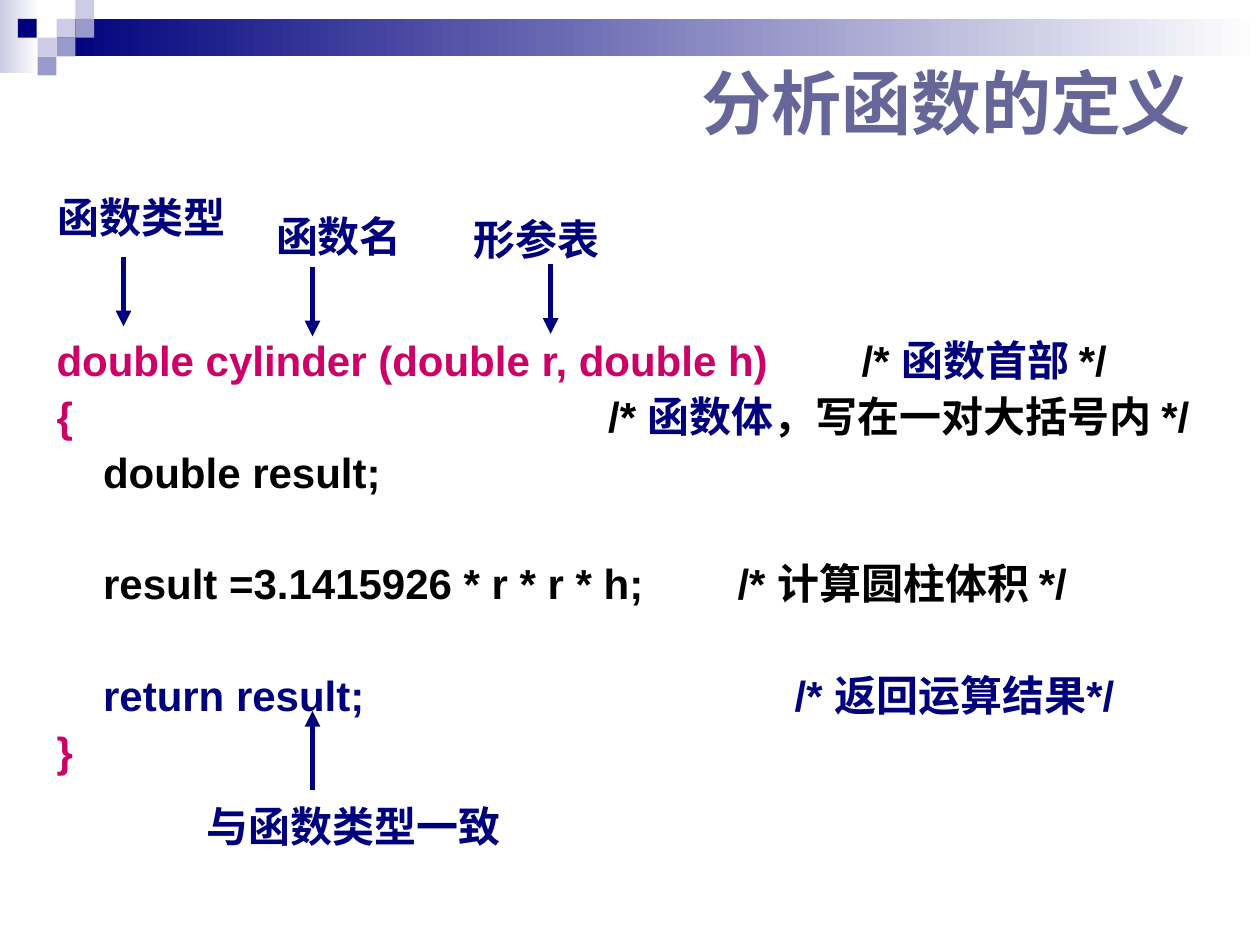
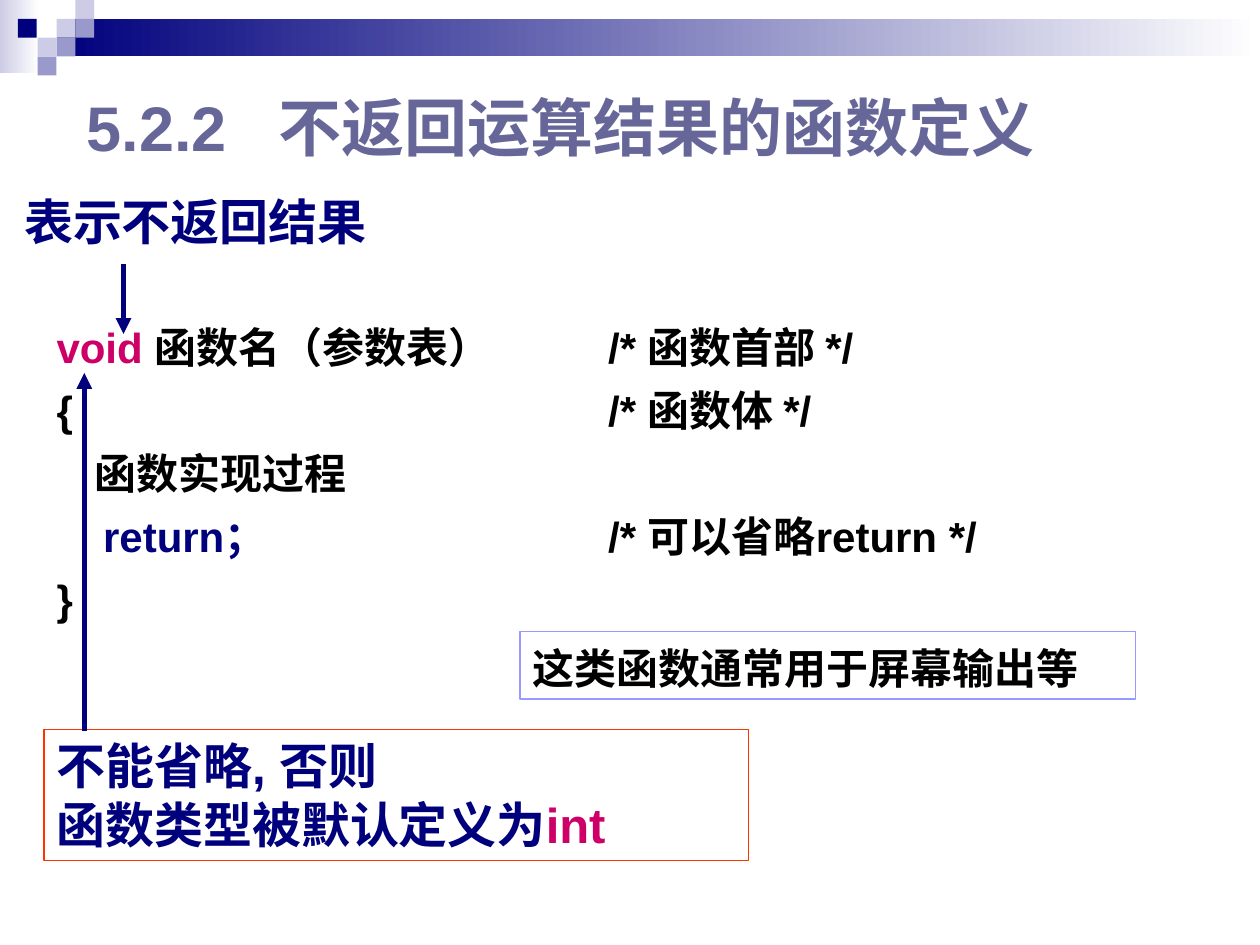
from lxml.etree import SubElement
from pptx import Presentation
from pptx.dml.color import RGBColor
from pptx.enum.shapes import MSO_CONNECTOR, MSO_SHAPE
from pptx.enum.text import MSO_ANCHOR, PP_ALIGN
from pptx.oxml.ns import qn
from pptx.util import Cm, Pt

HUES = {
    "navy": "00007D", "pale": "CCCCE6", "mid": "9999CC", "white": "FFFFFF",
    "title": "666699", "pink": "CC0066", "black": "000000",
    "blue": "9999FF", "red": "FF3300",
}
HUES = {name: RGBColor.from_string(code) for name, code in HUES.items()}


def write(shape, lines, size, hue, align=PP_ALIGN.LEFT, wrap=True,
          anchor=MSO_ANCHOR.TOP, pitch=None):
    """Each line is (tab stop in cm, space before in pt, runs of (text, hue))."""
    frame = shape.text_frame
    frame.word_wrap = wrap
    frame.vertical_anchor = anchor
    for i, (stop, gap, runs) in enumerate(lines):
        para = frame.add_paragraph() if i else frame.paragraphs[0]
        para.alignment = align
        para.space_before = Pt(gap)
        if pitch:
            para.line_spacing = pitch
        if stop:
            tabs = SubElement(para._p.get_or_add_pPr(), qn("a:tabLst"))
            SubElement(tabs, qn("a:tab"), pos=str(Cm(stop)), algn="l")
        font = para.font
        font.name, font.size, font.bold = "Arial", Pt(size), True
        font.color.rgb = HUES[hue]
        for words, tint in runs:
            run = para.add_run()
            run.text = words
            if tint != hue:
                run.font.color.rgb = HUES[tint]


def point(slide, x, start, end):
    """Draw an upright arrow at x, from start to end."""
    arrow = slide.shapes.add_connector(
        MSO_CONNECTOR.STRAIGHT, Cm(x), Cm(start), Cm(x), Cm(end))
    arrow.line.color.rgb = HUES["navy"]
    arrow.line.width = Pt(3)
    props = arrow.element.spPr
    SubElement(props.ln, qn("a:tailEnd"), type="triangle")
    SubElement(props, qn("a:effectLst"))


deck = Presentation()
deck.slide_width, deck.slide_height = Cm(25.4), Cm(19.05)

# Shared look: two fading bands, a cluster of squares, the title
SIDE = 0.38
BANDS = [
    (0, 0, 0.79, 1.47, "pale", "white"),
    (1.14, SIDE, 24.26, 0.76, "navy", "white"),
]
SQUARES = [
    (1.14, 1, "pale"), (1.52, 0, "pale"), (1.52, 1, "mid"), (0.76, 2, "pale"),
    (0.36, 1, "navy"), (1.14, 2, "mid"), (0.76, 3, "mid"),
]
TITLES = [
    ((13.89, 0.71, 11, 2.67), 40, "分析函数的定义"),
    ((1.5, 1.12, 21.41, 2.84), 36, "5.2.2\t不返回运算结果的函数定义"),
]
parts = BANDS + [(x, row * SIDE, SIDE, SIDE, hue, None)
                 for x, row, hue in SQUARES]
slides = []
for area, size, words in TITLES:
    slide = deck.slides.add_slide(deck.slide_layouts[6])
    slides.append(slide)
    for x, y, w, h, hue, fade in parts:
        block = slide.shapes.add_shape(
            MSO_SHAPE.RECTANGLE, Cm(x), Cm(y), Cm(w), Cm(h))
        block.shadow.inherit = False
        block.line.fill.background()
        if fade:
            block.fill.gradient()
            block.fill.gradient_angle = 0
            for stop, tint in zip(block.fill.gradient_stops, (hue, fade)):
                stop.color.rgb = HUES[tint]
        else:
            block.fill.solid()
            block.fill.fore_color.rgb = HUES[hue]
    title = slide.shapes.add_textbox(*map(Cm, area))
    write(title, [(3.87, 0, [(words, "title")])], size, "title",
          anchor=MSO_ANCHOR.MIDDLE)
first, second = slides

# Code on both slides
NOTE = 11.12
CODES = [
    (first, 6.73, 10.6, 0.9, [
        (16.23, 0, [("double cylinder (double r, double h)", "pink"),
                    ("\t/* ", "black"), ("函数首部 ", "navy"), ("*/", "black")]),
        (NOTE, 6, [("{", "pink"), ("\t/* ", "black"), ("函数体", "navy"),
                   ("，写在一对大括号内 */", "black")]),
        (None, 6, [("    double result;", "black")]),
        (13.73, 38, [("    result =3.1415926 * r * r * h;\t/* 计算圆柱体积 */",
                      "black")]),
        (14.88, 38, [("    return result;\t/* 返回运算结果*/", "navy")]),
        (None, 6, [("}", "pink")]),
    ]),
    (second, 6.32, 6.81, 1.04, [
        (NOTE, 0, [("void ", "pink"),
                   ("函数名（参数表）\t/* 函数首部 */", "black")]),
        (NOTE, 6, [("{\t/* 函数体 */", "black")]),
        (None, 6, [("    函数实现过程", "black")]),
        (NOTE, 6, [("    return；", "navy"),
                   ("\t/* 可以省略return */", "black")]),
        (None, 6, [("}", "black")]),
    ]),
]
for slide, top, high, pitch, lines in CODES:
    code = slide.shapes.add_textbox(Cm(0.89), Cm(top), Cm(24.2), Cm(high))
    write(code, lines, 24, "black", pitch=pitch)

# Labels that name parts of the code
LABELS = [
    (first, (0.91, 3.73, 3.89, 1.27), 24, None, "函数类型"),
    (first, (5.31, 4.11, 3.05, 1.27), 24, None, "函数名"),
    (first, (9.3, 4.17, 3.05, 1.27), 24, None, "形参表"),
    (first, (3.91, 16.13, 6.43, 1.17), 24, 0.9, "与函数类型一致"),
    (second, (0.23, 3.73, 7.42, 1.45), 28, None, "表示不返回结果"),
]
for slide, area, size, pitch, words in LABELS:
    label = slide.shapes.add_textbox(*map(Cm, area))
    write(label, [(None, 0, [(words, "navy")])], size, "navy",
          align=PP_ALIGN.CENTER, wrap=False, pitch=pitch)

# Framed remarks on the second slide
REMARKS = [
    ((10.49, 12.73, 12.4, 1.37), "white", "blue", 1, 24, "black", 1.1,
     [(None, 0, [("这类函数通常用于屏幕输出等", "black")])]),
    ((0.89, 14.71, 14.2, 2.64), None, "red", 0.75, 28, "navy", None,
     [(None, 0, [("不能省略, 否则", "navy")]),
      (None, 0, [("函数类型被默认定义为", "navy"), ("int", "pink")])]),
]
for area, fill, edge, width, size, hue, pitch, lines in REMARKS:
    remark = second.shapes.add_shape(MSO_SHAPE.RECTANGLE, *map(Cm, area))
    remark.shadow.inherit = False
    if fill:
        remark.fill.solid()
        remark.fill.fore_color.rgb = HUES[fill]
    else:
        remark.fill.background()
    remark.line.color.rgb = HUES[edge]
    remark.line.width = Pt(width)
    write(remark, lines, size, hue, pitch=pitch)

# Arrows between labels and code
ARROWS = [
    (first, 2.49, 5.18, 6.58), (first, 6.3, 5.38, 6.78),
    (first, 11.1, 5.33, 6.73), (first, 6.3, 15.93, 14.33),
    (second, 2.49, 5.33, 6.73), (second, 1.7, 14.73, 7.52),
]
for slide, x, start, end in ARROWS:
    point(slide, x, start, end)

deck.save("out.pptx")
